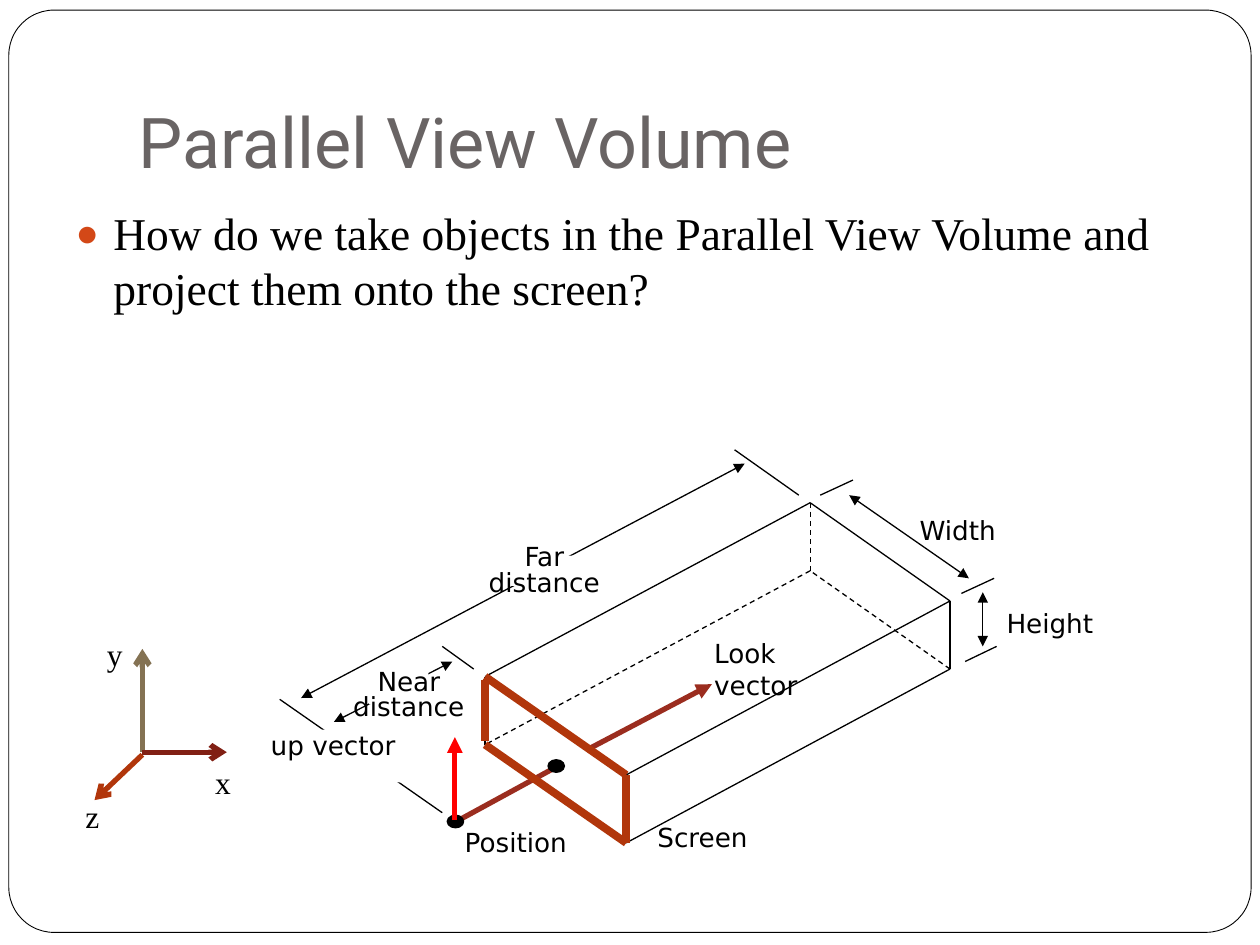
from pptx import Presentation
from pptx.dml.color import RGBColor
from pptx.enum.dml import MSO_LINE as Dash
from pptx.enum.shapes import MSO_CONNECTOR as Conn, MSO_SHAPE as Kind
from pptx.enum.text import MSO_ANCHOR as Anchor, MSO_AUTO_SIZE as Fit, PP_ALIGN as Align
from pptx.oxml.ns import qn
from pptx.util import Inches, Pt
from lxml import etree

BLACK = RGBColor(0x00, 0x00, 0x00)
WHITE = RGBColor(0xFF, 0xFF, 0xFF)
GRAY = RGBColor(0x69, 0x64, 0x64)
RUST = RGBColor(0xB1, 0x36, 0x0B)
BRICK = RGBColor(0x9B, 0x2D, 0x1F)
MAROON = RGBColor(0x81, 0x20, 0x14)
OLIVE = RGBColor(0x84, 0x72, 0x53)
RED = RGBColor(0xFF, 0x00, 0x00)
SANS, SERIF = "DejaVu Sans", "Times New Roman"

prs = Presentation()
prs.slide_width, prs.slide_height = Inches(10), Inches(7.5)
slide = prs.slides.add_slide(prs.slide_layouts[1])
shapes = slide.shapes


def add_line(start, end, color=BLACK, width=0.75, head=None, tail=None, dash=False):
    ends = [Inches(v) for v in (*start, *end)]
    line = shapes.add_connector(Conn.STRAIGHT, *ends)
    line.line.color.rgb = color
    line.line.width = Pt(width)
    if dash:
        line.line.dash_style = Dash.DASH
    props = line.line._get_or_add_ln()
    for tag, kind in (("a:headEnd", head), ("a:tailEnd", tail)):
        if kind:
            etree.SubElement(props, qn(tag)).set("type", kind)
    etree.SubElement(line._element.spPr, qn("a:effectLst"))


def add_shape(kind, box, fill, edge=None):
    shape = shapes.add_shape(kind, *[Inches(v) for v in box])
    shape.shadow.inherit = False
    shape.fill.solid()
    shape.fill.fore_color.rgb = fill
    if edge:
        shape.line.color.rgb = BLACK
        shape.line.width = Pt(edge)
    else:
        shape.line.fill.background()
    return shape


# Rounded frame, behind everything else
frame = add_shape(Kind.ROUNDED_RECTANGLE, (0.07, 0.08, 9.86, 7.32), WHITE, 0.5)
frame.adjustments[0] = 0.049
shapes._spTree.insert(2, frame._element)

# Title
title = shapes.title
title.left, title.top = Inches(1), Inches(0.3)
title.width, title.height = Inches(8.5), Inches(1.25)
text = title.text_frame
text.auto_size = Fit.NONE
text.vertical_anchor = Anchor.BOTTOM
text.margin_bottom = Inches(0.1)
para = text.paragraphs[0]
para.alignment = Align.LEFT
run = para.add_run()
run.text = "Parallel View Volume"
run.font.name, run.font.size = "Roboto", Pt(40)
run.font.color.rgb = GRAY

# Question
body = slide.placeholders[1]
body.left, body.top = Inches(0.5), Inches(1.58)
body.width, body.height = Inches(9), Inches(2.17)
text = body.text_frame
text.auto_size = Fit.NONE
para = text.paragraphs[0]
para.space_before = Pt(0)
props = para._p.get_or_add_pPr()
props.set("marL", str(Inches(0.3)))
props.set("indent", str(Inches(-0.3)))
tint = etree.SubElement(props, qn("a:buClr"))
etree.SubElement(tint, qn("a:srgbClr")).set("val", "D34817")
etree.SubElement(props, qn("a:buSzPct")).set("val", "85000")
etree.SubElement(props, qn("a:buChar")).set("char", "●")
run = para.add_run()
run.text = "How do we take objects in the Parallel View Volume and project them onto the screen?"
run.font.name, run.font.size = SERIF, Pt(26)
run.font.color.rgb = BLACK

# Corners of the view volume: top and bottom faces, 0.54 apart
tops = [(3.85, 5.37), (4.97, 6.15), (7.54, 4.77), (6.43, 3.99)]
lows = [(x, y + 0.54) for x, y in tops]

# Edges; the three that meet at the hidden corner are dashed
for i in range(4):
    j = (i + 1) % 4
    add_line(tops[i], tops[j])
    add_line(lows[i], lows[j], dash=3 in (i, j))
    add_line(tops[i], lows[i], dash=i == 3)

# Extension lines
for start, end in [
    ((6.51, 3.93), (6.77, 3.81)),
    ((7.63, 4.71), (7.89, 4.59)),
    ((7.66, 5.25), (7.91, 5.13)),
    ((6.34, 3.93), (5.83, 3.57)),
    ((3.76, 5.31), (3.51, 5.13)),
    ((3.51, 6.45), (2.22, 5.55)),
]:
    add_line(start, end)

# Dimension arrows: near, far, width, height
for start, end in [
    ((3.59, 5.25), (2.65, 5.73)),
    ((2.39, 5.54), (5.91, 3.68)),
    ((6.74, 3.93), (7.69, 4.59)),
    ((7.8, 4.7), (7.8, 5.13)),
]:
    add_line(start, end, head="triangle", tail="triangle")

# Look vector, position and up vector
add_line((4.68, 5.94), (5.65, 5.43), BRICK, 3, tail="triangle")
add_line((4.41, 6.09), (3.64, 6.51), BRICK, 3)
for x, y in [(3.55, 6.47), (4.35, 6.03)]:
    add_shape(Kind.OVAL, (x, y, 0.13, 0.1), BLACK, 0.75)
add_line((3.61, 6.51), (3.61, 5.85), RED, 3, tail="triangle")

# White gaps in the lines behind labels
for box in [(2.93, 5.31, 0.47, 0.28), (4.02, 4.41, 0.69, 0.24), (2.48, 5.79, 0.86, 0.42)]:
    add_shape(Kind.RECTANGLE, box, WHITE)

# Screen outline
for start, end in [
    (tops[0], tops[1]),
    (lows[0], lows[1]),
    (tops[1], lows[1]),
    ((3.85, 5.4), (3.85, 5.88)),
]:
    add_line(start, end, RUST, 4.5)

# Axes
add_line((1.13, 5.97), (1.13, 5.15), OLIVE, 3, tail="arrow")
add_line((1.13, 5.97), (1.8, 5.97), MAROON, 3, tail="arrow")
add_line((1.13, 5.99), (0.75, 6.35), RUST, 3, tail="arrow")

# Labels: words, box, font, size, alignment, line spacing
for words, box, font, size, align, gap in [
    ("Height", (7.89, 4.77, 1.03, 0.25), SANS, 15, Align.LEFT, 1.0),
    ("Width", (7.2, 4.03, 1.03, 0.25), SANS, 15, Align.LEFT, 1.0),
    ("Look vector", (5.57, 5.01, 1.03, 0.43), SANS, 15, Align.LEFT, 1.0),
    ("Near distance", (2.56, 5.28, 1.37, 0.36), SANS, 15, Align.CENTER, 0.8),
    ("Position", (3.59, 6.51, 1.37, 0.25), SANS, 15, Align.LEFT, 1.0),
    ("Far distance", (3.76, 4.29, 1.12, 0.36), SANS, 15, Align.CENTER, 0.8),
    ("up vector", (2.05, 5.79, 1.72, 0.3), SANS, 15, Align.LEFT, 0.8),
    ("Screen", (5.12, 6.47, 1.37, 0.35), SANS, 15, Align.LEFT, 1.0),
    ("x", (1.61, 6.01, 0.32, 0.4), SERIF, 18, Align.LEFT, 1.0),
    ("y", (0.75, 4.99, 0.33, 0.4), SERIF, 18, Align.LEFT, 1.0),
    ("z", (0.58, 6.28, 0.32, 0.4), SERIF, 18, Align.LEFT, 1.0),
]:
    text = shapes.add_textbox(*[Inches(v) for v in box]).text_frame
    text.word_wrap = len(words) > 1
    text.auto_size = Fit.SHAPE_TO_FIT_TEXT
    para = text.paragraphs[0]
    para.alignment, para.line_spacing = align, gap
    run = para.add_run()
    run.text = words
    run.font.name, run.font.size = font, Pt(size)
    run.font.color.rgb = BLACK

prs.save("out.pptx")
